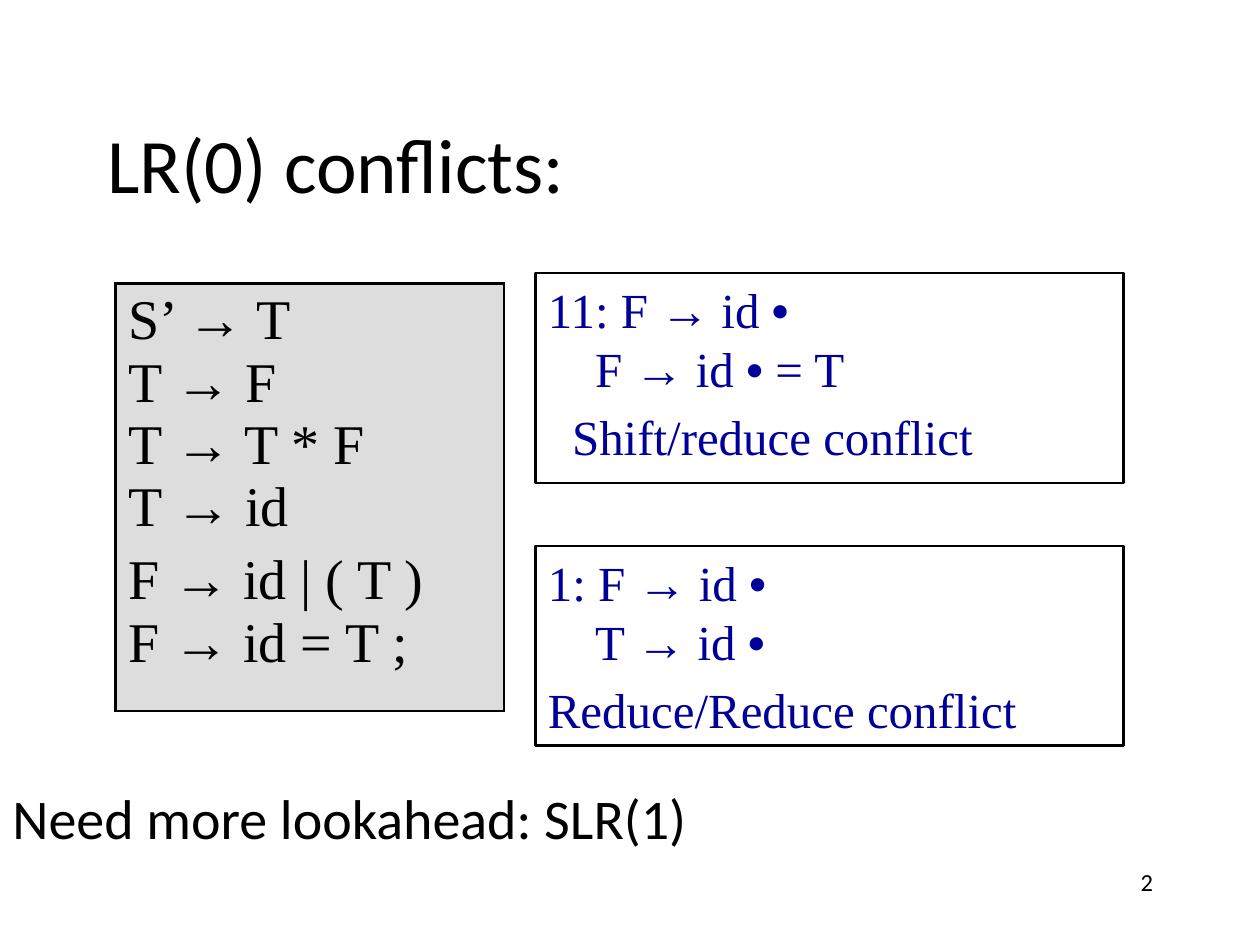
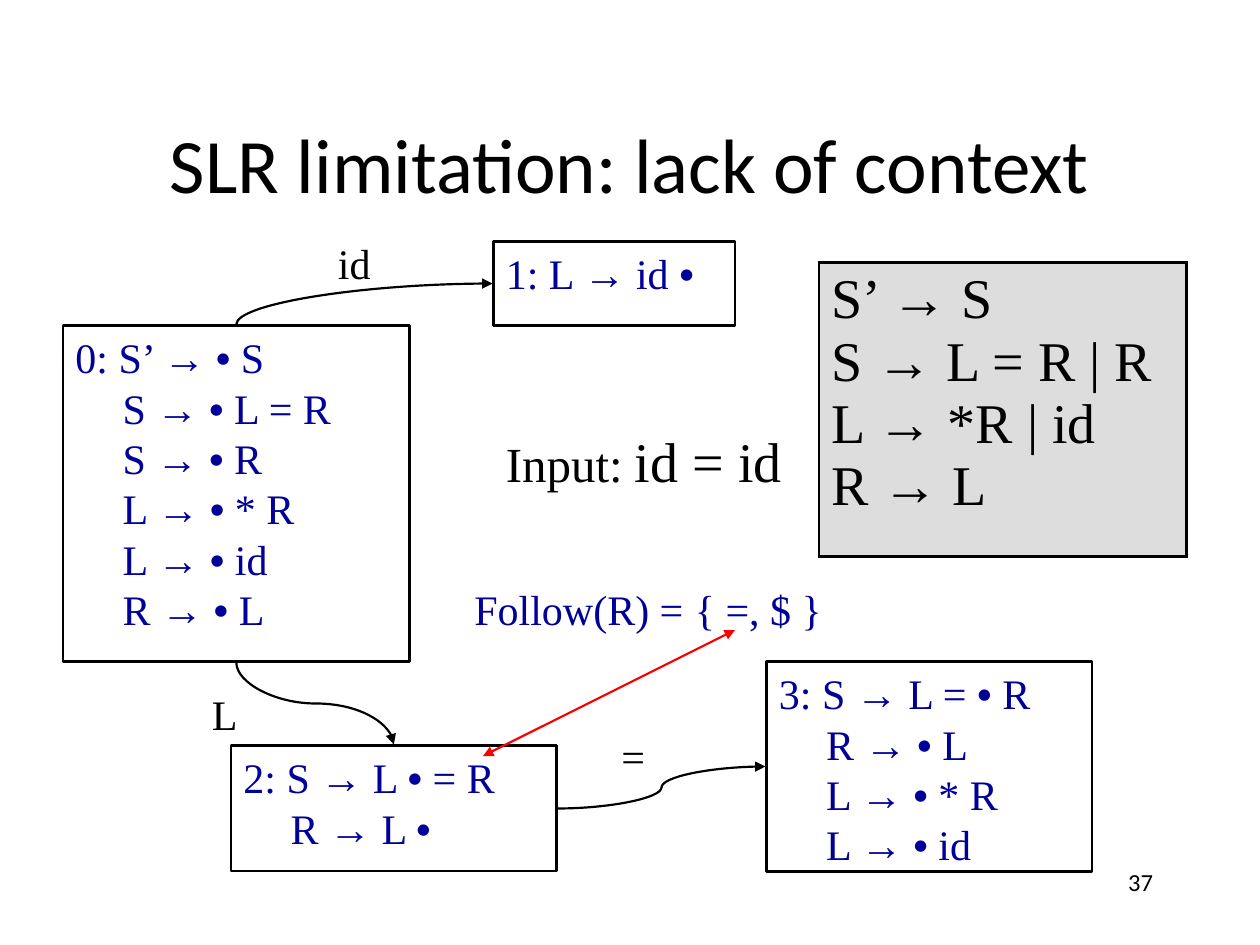
from dataclasses import dataclass

from lxml.etree import SubElement
from pptx import Presentation
from pptx.dml.color import RGBColor
from pptx.enum.shapes import MSO_CONNECTOR, MSO_SHAPE
from pptx.enum.text import MSO_ANCHOR, PP_ALIGN
from pptx.oxml.ns import qn
from pptx.util import Emu, Pt


@dataclass(frozen=True)
class Theme:
    black: RGBColor = RGBColor(0x00, 0x00, 0x00)
    white: RGBColor = RGBColor(0xFF, 0xFF, 0xFF)
    navy: RGBColor = RGBColor(0x00, 0x00, 0x99)
    red: RGBColor = RGBColor(0xFF, 0x00, 0x00)
    grey: RGBColor = RGBColor(0xDD, 0xDD, 0xDD)
    sans: str = "Calibri"
    serif: str = "Times New Roman"
    title: int = 44
    grammar: int = 32
    conflict: int = 28
    state: int = 24
    page: int = 14
    line: float = 1.25
    border: float = 1.5


THEME = Theme()
PX = 7620
HANG = 45


def write_text(text_frame, paragraphs, size, color, font=THEME.serif, hang=0, align=PP_ALIGN.LEFT):
    text_frame.word_wrap = True
    text_frame.vertical_anchor = MSO_ANCHOR.TOP
    for number, (text, offset) in enumerate(paragraphs):
        paragraph = text_frame.add_paragraph() if number else text_frame.paragraphs[0]
        paragraph.alignment = align
        if number:
            paragraph.space_before = Pt(size * 0.2)
        if hang:
            properties = paragraph._p.get_or_add_pPr()
            properties.set("marL", str(hang * PX))
            properties.set("indent", str((offset - hang) * PX))
        for line_number, line in enumerate(text.split("\n")):
            if line_number:
                paragraph.add_line_break()
            for piece_number, piece in enumerate(line.split("•")):
                if piece_number:
                    dot = paragraph.add_run()
                    dot.text = "•"
                    dot.font.bold = True
                if piece:
                    paragraph.add_run().text = piece
        for run in paragraph.runs:
            run.font.size = Pt(size)
            run.font.name = font
            run.font.color.rgb = color


def draw_arrow(slide, start, end, preset, color, turned=False, double=False):
    (start_x, start_y), (end_x, end_y) = start, end
    if turned:
        middle_x, middle_y = (start_x + end_x) / 2, (start_y + end_y) / 2
        half_x, half_y = (start_y - end_y) / 2, (end_x - start_x) / 2
        start_x, end_x = middle_x - half_x, middle_x + half_x
        start_y, end_y = middle_y - half_y, middle_y + half_y
    corners = [Emu(int(value * PX)) for value in (start_x, start_y, end_x, end_y)]
    connector = slide.shapes.add_connector(MSO_CONNECTOR.STRAIGHT, *corners)
    connector.line.color.rgb = color
    connector.line.width = Pt(THEME.line)
    properties = connector._element.spPr
    properties.find(qn("a:prstGeom")).set("prst", preset)
    if turned:
        properties.find(qn("a:xfrm")).set("rot", str(270 * 60000))
    line = properties.find(qn("a:ln"))
    if double:
        SubElement(line, qn("a:headEnd"), type="triangle")
    SubElement(line, qn("a:tailEnd"), type="triangle")
    SubElement(properties, qn("a:effectLst"))


presentation = Presentation()
presentation.slide_width = Emu(1200 * PX)
presentation.slide_height = Emu(900 * PX)

pages = [
    {
        "title": "LR(0) conflicts:",
        "align": PP_ALIGN.LEFT,
        "number": "2",
        "grammar": (
            (110, 270, 370, 379),
            [("S’ → T\nT → F\nT → T * F\nT → id", 0), ("F → id | ( T )\nF → id = T ;", 0)],
        ),
        "state_size": THEME.conflict,
        "states": [
            ((510, 260, 560, 200), [("11: F → id •\nF → id • = T", 0), ("Shift/reduce conflict", 23)]),
            ((510, 520, 560, 190), [("1: F → id •\nT → id •", 0), ("Reduce/Reduce conflict", 0)]),
        ],
    },
    {
        "title": "SLR limitation: lack of context",
        "align": PP_ALIGN.CENTER,
        "number": "37",
        "grammar": ((780, 250, 350, 280), [("S’ → S\nS → L = R | R\nL → *R | id\nR → L", 0)]),
        "state_size": THEME.state,
        "states": [
            ((60, 310, 330, 320), [("0: S’ → • S\nS → • L = R\nS → • R\nL → • * R\nL → • id\nR → • L", 0)]),
            ((470, 230, 230, 80), [("1: L → id •", 0)]),
            ((220, 710, 310, 120), [("2: S → L • = R\nR → L •", 0)]),
            ((730, 630, 310, 200), [("3: S → L = • R\nR → • L\nL → • * R\nL → • id", 0)]),
        ],
    },
]

for page in pages:
    slide = presentation.slides.add_slide(presentation.slide_layouts[5])
    title = slide.shapes.title
    title.left, title.top, title.width, title.height = [Emu(value * PX) for value in (90, 80, 1020, 150)]
    write_text(title.text_frame, [(page["title"], 0)], THEME.title, THEME.black, THEME.sans, align=page["align"])
    title.text_frame.vertical_anchor = MSO_ANCHOR.MIDDLE

    number_box = slide.shapes.add_textbox(*[Emu(value * PX) for value in (860, 820, 250, 60)])
    write_text(
        number_box.text_frame, [(page["number"], 0)], THEME.page, THEME.black, THEME.sans, align=PP_ALIGN.RIGHT
    )

    place, rules = page["grammar"]
    table = slide.shapes.add_table(1, 1, *[Emu(value * PX) for value in place]).table
    table.first_row = False
    table.horz_banding = False
    cell = table.cell(0, 0)
    write_text(cell.text_frame, rules, THEME.grammar, THEME.black)
    cell_properties = cell._tc.get_or_add_tcPr()
    for side in ("lnL", "lnR", "lnT", "lnB"):
        border = SubElement(cell_properties, qn(f"a:{side}"), w=str(Pt(THEME.border)))
        SubElement(SubElement(border, qn("a:solidFill")), qn("a:srgbClr"), val=str(THEME.black))
    cell.fill.solid()
    cell.fill.fore_color.rgb = THEME.grey

    for place, items in page["states"]:
        state = slide.shapes.add_shape(MSO_SHAPE.RECTANGLE, *[Emu(value * PX) for value in place])
        state.shadow.inherit = False
        state.fill.background()
        state.line.color.rgb = THEME.black
        state.line.width = Pt(THEME.line)
        write_text(state.text_frame, items, page["state_size"], THEME.navy, hang=HANG)

conflict_slide, context_slide = presentation.slides

lookahead = conflict_slide.shapes.add_textbox(*[Emu(value * PX) for value in (0, 740, 750, 100)])
write_text(lookahead.text_frame, [("Need more lookahead: SLR(1)", 0)], THEME.grammar, THEME.black, THEME.sans)

labels = [
    ("id", (310, 220, 70, 70), THEME.black),
    ("L", (190, 650, 70, 70), THEME.black),
    ("=", (580, 690, 70, 70), THEME.black),
    ("Follow(R) =", (440, 550, 300, 70), THEME.navy),
]
for text, place, color in labels:
    label = context_slide.shapes.add_textbox(*[Emu(value * PX) for value in place])
    write_text(label.text_frame, [(text, 0)], THEME.state, color)

follow_set = context_slide.shapes.add_shape(MSO_SHAPE.RECTANGLE, *[Emu(value * PX) for value in (650, 550, 210, 70)])
follow_set.shadow.inherit = False
follow_set.fill.solid()
follow_set.fill.fore_color.rgb = THEME.white
follow_set.line.fill.background()
write_text(follow_set.text_frame, [("{ =, $ }", 0)], THEME.state, THEME.navy)

draw_arrow(context_slide, (225, 309), (469, 270), "curvedConnector2", THEME.black, turned=True)
draw_arrow(context_slide, (225, 631), (375, 709), "curvedConnector3", THEME.black, turned=True)
draw_arrow(context_slide, (531, 770), (729, 730), "curvedConnector3", THEME.black)
draw_arrow(context_slide, (700, 600), (460, 720), "line", THEME.red, double=True)

input_box = context_slide.shapes.add_textbox(*[Emu(value * PX) for value in (470, 400, 290, 75)])
write_text(input_box.text_frame, [("Input: ", 0)], THEME.conflict, THEME.black)
sentence = input_box.text_frame.paragraphs[0].add_run()
sentence.text = "id = id"
sentence.font.size = Pt(THEME.grammar)
sentence.font.name = THEME.serif
sentence.font.color.rgb = THEME.black

presentation.save("out.pptx")
